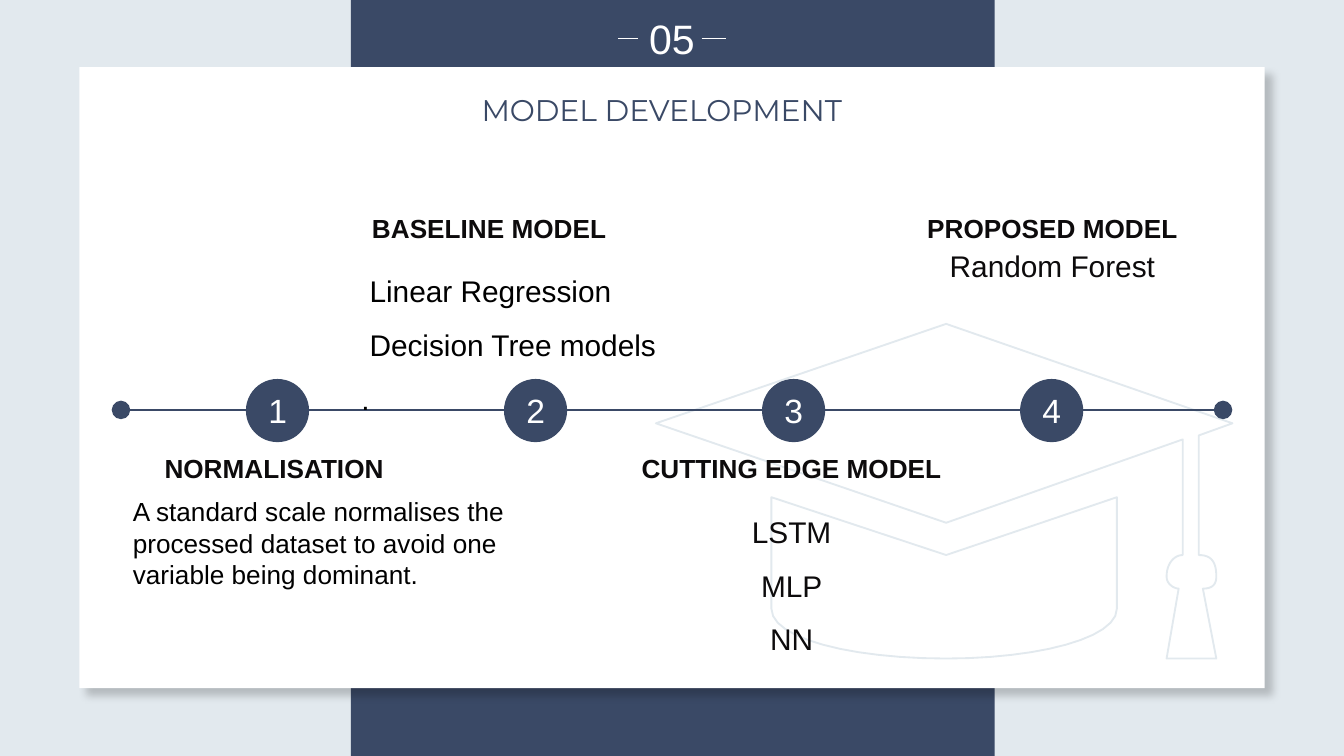
from dataclasses import dataclass

from lxml.etree import SubElement
from pptx import Presentation
from pptx.dml.color import RGBColor
from pptx.enum.shapes import MSO_CONNECTOR, MSO_SHAPE
from pptx.enum.text import MSO_ANCHOR, PP_ALIGN
from pptx.oxml.ns import qn
from pptx.util import Inches, Pt

COLORS = {
    "background": "E2E9EE",
    "navy": "3A4966",
    "white": "FFFFFF",
    "ink": "0D0B0C",
    "black": "000000",
}
SLIDE_WIDTH = 10
SLIDE_HEIGHT = SLIDE_WIDTH * 9 / 16
STEP_LEFT, STEP_GAP, STEP_TOP, STEP_SIZE = 1.83, 1.92, 2.82, 0.47
AXIS_Y = 3.05

Point = tuple[float, float]


@dataclass
class TextBlock:
    left: float
    top: float
    width: float
    height: float
    lines: list[str]
    size: int = 14
    color: str = "ink"
    bold: bool = False
    font: str = "Arial"
    align: PP_ALIGN = PP_ALIGN.CENTER
    spacing: float | Pt = 1.0
    wrap: bool = True


TEXT_BLOCKS = [
    TextBlock(4.71, 0.05, 0.58, 0.47, ["05"], 22, "white"),
    TextBlock(1.39, 0.63, 7.07, 0.37, ["MODEL DEVELOPMENT"], 16, "navy", font="Montserrat"),
    TextBlock(1.12, 3.32, 1.84, 0.34, ["NORMALISATION"], bold=True, wrap=False),
    TextBlock(2.29, 1.53, 2.7, 0.34, ["BASELINE MODEL"], bold=True),
    TextBlock(4.64, 3.32, 2.5, 0.34, ["CUTTING EDGE MODEL"], bold=True, wrap=False),
    TextBlock(6.79, 1.53, 2.08, 0.34, ["PROPOSED MODEL"], bold=True, wrap=False),
    TextBlock(0.89, 3.64, 3.33, 1.38,
              ["A standard scale normalises the processed dataset to avoid one "
               "variable being dominant."], color="black", align=PP_ALIGN.LEFT),
    TextBlock(2.59, 1.85, 2.7, 1.53, [" Linear Regression", " Decision Tree models", "."],
              16, "black", align=PP_ALIGN.LEFT, spacing=1.5),
    TextBlock(4.73, 3.64, 2.32, 1.53, ["LSTM", "MLP", "NN"], 16, spacing=1.5),
    TextBlock(6.67, 1.85, 2.32, 0.31, ["Random Forest"], 16, spacing=Pt(15)),
]

# Each contour is a list of steps: one point is a straight line, three are a Bezier curve.
CAP_AND_TASSEL = [
    [(9.05, 4.29)], [(9.05, 4.19), (9.02, 4.13), (8.92, 4.13)],
    [(8.92, 3.24)], [(9.17, 3.15)], [(7.04, 2.41)], [(4.88, 3.15)], [(7.04, 3.89)],
    [(8.8, 3.27)], [(8.8, 4.13)],
    [(8.74, 4.13), (8.68, 4.19), (8.68, 4.29)],
    [(8.68, 4.35), (8.74, 4.38), (8.77, 4.38)],
    [(8.68, 4.9)], [(9.05, 4.9)], [(8.95, 4.38)],
    [(9.02, 4.38), (9.05, 4.35), (9.05, 4.29)],
]
CAP_BASE = [
    [(5.74, 3.7)], [(5.74, 4.53)],
    [(5.74, 4.75), (6.33, 4.9), (7.04, 4.9)],
    [(7.72, 4.9), (8.31, 4.75), (8.31, 4.53)],
    [(8.31, 3.7)], [(7.04, 4.13)],
]


def rgb(name: str) -> RGBColor:
    return RGBColor.from_string(COLORS[name])


def add_filled(slide, kind: MSO_SHAPE, left: float, top: float,
               width: float, height: float, color: str):
    shape = slide.shapes.add_shape(kind, Inches(left), Inches(top), Inches(width), Inches(height))
    shape.shadow.inherit = False
    shape.fill.solid()
    shape.fill.fore_color.rgb = rgb(color)
    shape.line.fill.background()
    return shape


def add_card_shadow(shape) -> None:
    effects = shape._element.spPr.find(qn("a:effectLst"))
    shadow = SubElement(effects, qn("a:outerShdw"), blurRad=str(Pt(4)), dist=str(Pt(6)),
                        dir="2700000", algn="tl", rotWithShape="0")
    color = SubElement(shadow, qn("a:srgbClr"), val=COLORS["black"])
    SubElement(color, qn("a:alpha"), val="20000")


def flatten(contour: list[list[Point]], segments: int = 12) -> list[Point]:
    """Turn the contour's curves into short straight segments, in EMU."""
    points: list[Point] = []
    for step in contour:
        if len(step) == 1:
            points += step
            continue
        controls = [points[-1], *step]
        for index in range(1, segments + 1):
            t = index / segments
            weights = ((1 - t) ** 3, 3 * t * (1 - t) ** 2, 3 * t * t * (1 - t), t ** 3)
            points.append((sum(w * x for w, (x, _) in zip(weights, controls)),
                           sum(w * y for w, (_, y) in zip(weights, controls))))
    return [(Inches(x), Inches(y)) for x, y in points]


def add_graduation_cap(slide) -> None:
    contours = [flatten(CAP_AND_TASSEL), flatten(CAP_BASE)]
    builder = slide.shapes.build_freeform(*contours[0][0])
    for index, points in enumerate(contours):
        if index:
            builder.move_to(*points[0])
        builder.add_line_segments(points[1:], close=True)
    cap = builder.convert_to_shape()
    cap.shadow.inherit = False
    cap.fill.background()
    cap.line.color.rgb = rgb("background")
    cap.line.width = Pt(1)


def add_horizontal_line(slide, start: float, end: float, y: float, color: str,
                        width: float, dots: bool = False) -> None:
    line = slide.shapes.add_connector(MSO_CONNECTOR.STRAIGHT, Inches(start), Inches(y),
                                      Inches(end), Inches(y))
    line.line.color.rgb = rgb(color)
    line.line.width = Pt(width)
    if dots:
        for tag in ("a:headEnd", "a:tailEnd"):
            SubElement(line.line._get_or_add_ln(), qn(tag), type="oval", w="lg", len="lg")
    SubElement(line._element.spPr, qn("a:effectLst"))


def add_text(slide, block: TextBlock) -> None:
    box = slide.shapes.add_textbox(Inches(block.left), Inches(block.top),
                                   Inches(block.width), Inches(block.height))
    frame = box.text_frame
    frame.word_wrap = block.wrap
    frame.text = "\n".join(block.lines)
    for paragraph in frame.paragraphs:
        paragraph.alignment = block.align
        paragraph.line_spacing = block.spacing
        paragraph.font.name = block.font
        paragraph.font.size = Pt(block.size)
        paragraph.font.bold = block.bold
        paragraph.font.color.rgb = rgb(block.color)


def add_step(slide, number: int) -> None:
    left = STEP_LEFT + (number - 1) * STEP_GAP
    circle = add_filled(slide, MSO_SHAPE.OVAL, left, STEP_TOP, STEP_SIZE, STEP_SIZE, "navy")
    frame = circle.text_frame
    frame.vertical_anchor = MSO_ANCHOR.MIDDLE
    frame.text = str(number)
    paragraph = frame.paragraphs[0]
    paragraph.alignment = PP_ALIGN.CENTER
    paragraph.font.name = "Arial"
    paragraph.font.size = Pt(18)
    paragraph.font.color.rgb = rgb("white")


def main() -> None:
    presentation = Presentation()
    presentation.slide_width = Inches(SLIDE_WIDTH)
    presentation.slide_height = Inches(SLIDE_HEIGHT)
    slide = presentation.slides.add_slide(presentation.slide_layouts[6])
    slide.background.fill.solid()
    slide.background.fill.fore_color.rgb = rgb("background")

    add_filled(slide, MSO_SHAPE.RECTANGLE, 2.61, 0, 4.79, SLIDE_HEIGHT, "navy")
    card = add_filled(slide, MSO_SHAPE.RECTANGLE, 0.59, 0.5, 8.82, 4.62, "white")
    add_card_shadow(card)
    add_graduation_cap(slide)
    for start, end in ((4.6, 4.75), (5.22, 5.4)):
        add_horizontal_line(slide, start, end, 0.29, "white", 0.5)

    add_horizontal_line(slide, 0.9, 9.1, AXIS_Y, "navy", 1, dots=True)
    for number in range(1, 5):
        add_step(slide, number)
    for block in TEXT_BLOCKS:
        add_text(slide, block)
    presentation.save("out.pptx")


if __name__ == "__main__":
    main()
